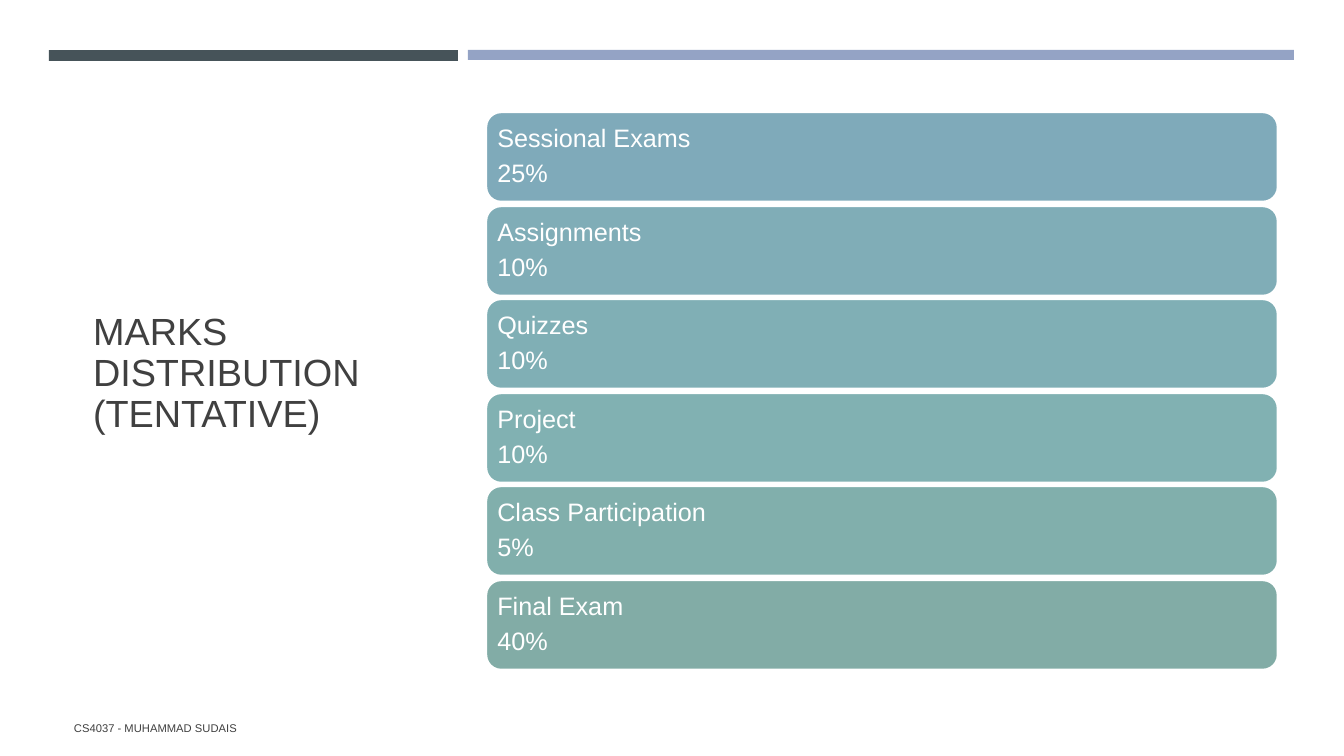
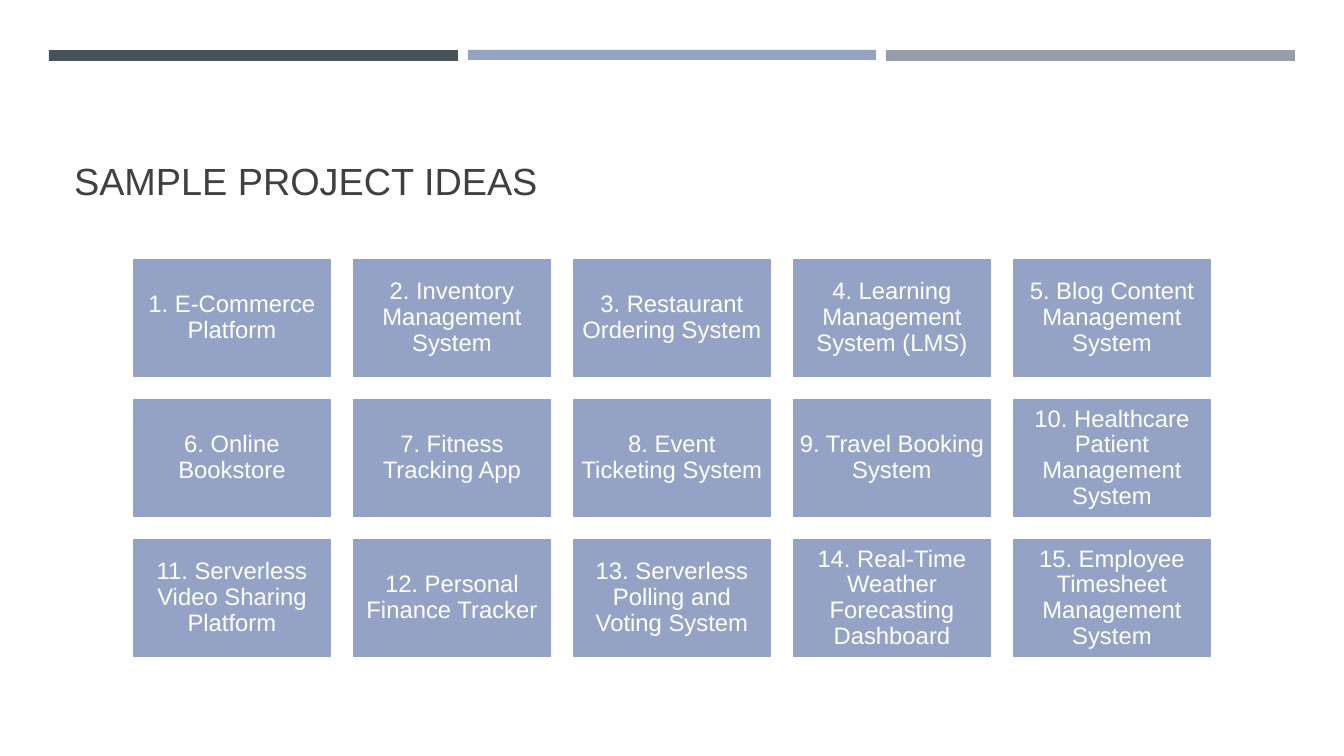
from dataclasses import dataclass

import pptx
import pptx.dml.color
import pptx.enum.shapes
import pptx.enum.text
import pptx.presentation
import pptx.shapes.autoshape
import pptx.slide
import pptx.text.text
import pptx.util

RGBColor = pptx.dml.color.RGBColor
Shape = pptx.enum.shapes.MSO_SHAPE
Anchor = pptx.enum.text.MSO_ANCHOR
Align = pptx.enum.text.PP_ALIGN

SLIDE_WIDTH, SLIDE_HEIGHT = 1344, 756
EMU_PER_PX = 12192000 / SLIDE_WIDTH

FONT = "Arial"
WHITE = RGBColor(0xFF, 0xFF, 0xFF)
CHARCOAL = RGBColor(0x40, 0x40, 0x40)
SLATE = RGBColor(0x46, 0x53, 0x59)
PERIWINKLE = RGBColor(0x94, 0xA3, 0xC5)
GREY = RGBColor(0x96, 0x9F, 0xA7)

TITLE_SIZE = 27
CARD_INSET = 7
LINE_SPACING = 0.9
TITLE_ONLY_LAYOUT = 5


@dataclass(frozen=True)
class Box:
    left: int
    top: int
    width: int
    height: int


@dataclass(frozen=True)
class Band:
    box: Box
    color: RGBColor


@dataclass(frozen=True)
class Mark:
    component: str
    share: str
    color: RGBColor


DARK_BAND = Band(Box(49, 50, 409, 11), SLATE)
WIDE_BAND = Band(Box(468, 50, 826, 10), PERIWINKLE)
MIDDLE_BAND = Band(Box(468, 50, 408, 10), PERIWINKLE)
RIGHT_BAND = Band(Box(886, 50, 409, 11), GREY)

MARKS = [
    Mark("Sessional Exams", "25%", RGBColor(0x7F, 0xAA, 0xBA)),
    Mark("Assignments", "10%", RGBColor(0x80, 0xAD, 0xB7)),
    Mark("Quizzes", "10%", RGBColor(0x80, 0xAF, 0xB5)),
    Mark("Project", "10%", RGBColor(0x81, 0xB1, 0xB2)),
    Mark("Class Participation", "5%", RGBColor(0x81, 0xAF, 0xAC)),
    Mark("Final Exam", "40%", RGBColor(0x82, 0xAC, 0xA6)),
]
MARKS_AREA = Box(486, 112, 792, 558)
MARK_HEIGHT = 90

PROJECT_IDEAS = [
    "E-Commerce Platform",
    "Inventory Management System",
    "Restaurant Ordering System",
    "Learning Management System (LMS)",
    "Blog Content Management System",
    "Online Bookstore",
    "Fitness Tracking App",
    "Event Ticketing System",
    "Travel Booking System",
    "Healthcare Patient Management System",
    "Serverless Video Sharing Platform",
    "Personal Finance Tracker",
    "Serverless Polling and Voting System",
    "Real-Time Weather Forecasting Dashboard",
    "Employee Timesheet Management System",
]
FIRST_IDEA = Box(132, 258, 200, 120)
IDEA_COLUMNS = 5
IDEA_GAP = 20


def px(length: float) -> pptx.util.Emu:
    return pptx.util.Emu(round(length * EMU_PER_PX))


def bounds(box: Box) -> tuple[pptx.util.Emu, ...]:
    return px(box.left), px(box.top), px(box.width), px(box.height)


def format_text(
    frame: pptx.text.text.TextFrame,
    size: int,
    color: RGBColor,
    align: Align = Align.LEFT,
    anchor: Anchor = Anchor.MIDDLE,
    space_after: int = 0,
) -> None:
    frame.word_wrap = True
    frame.auto_size = pptx.enum.text.MSO_AUTO_SIZE.NONE
    frame.vertical_anchor = anchor
    for paragraph in frame.paragraphs:
        paragraph.alignment = align
        paragraph.line_spacing = LINE_SPACING
        paragraph.space_after = pptx.util.Pt(space_after)
        for run in paragraph.runs:
            run.font.name = FONT
            run.font.size = pptx.util.Pt(size)
            run.font.color.rgb = color


def add_filled(
    slide: pptx.slide.Slide, preset: Shape, box: Box, color: RGBColor
) -> pptx.shapes.autoshape.Shape:
    """Add a preset shape with a flat fill, no outline and no shadow."""
    filled = slide.shapes.add_shape(preset, *bounds(box))
    filled.shadow.inherit = False
    filled.fill.solid()
    filled.fill.fore_color.rgb = color
    filled.line.fill.background()
    return filled


def add_card(
    slide: pptx.slide.Slide,
    preset: Shape,
    box: Box,
    color: RGBColor,
    text: str,
    size: int,
    align: Align,
) -> None:
    """Add a white-edged shape that holds white text."""
    card = add_filled(slide, preset, box, color)
    card.line.color.rgb = WHITE
    card.line.width = pptx.util.Pt(1.75)
    frame = card.text_frame
    frame.margin_left = frame.margin_right = px(CARD_INSET)
    frame.margin_top = frame.margin_bottom = px(CARD_INSET)
    frame.text = text
    format_text(frame, size, WHITE, align, space_after=6)


def add_titled_slide(
    deck: pptx.presentation.Presentation,
    title: str,
    title_box: Box,
    anchor: Anchor,
    bands: list[Band],
) -> pptx.slide.Slide:
    slide = deck.slides.add_slide(deck.slide_layouts[TITLE_ONLY_LAYOUT])
    heading = slide.shapes.title
    heading.left, heading.top, heading.width, heading.height = bounds(title_box)
    heading.text_frame.text = title
    format_text(heading.text_frame, TITLE_SIZE, CHARCOAL, anchor=anchor)
    for band in bands:
        add_filled(slide, Shape.RECTANGLE, band.box, band.color)
    return slide


def add_footer(slide: pptx.slide.Slide, text: str) -> None:
    footer = slide.shapes.add_textbox(*bounds(Box(64, 709, 762, 40)))
    footer.text_frame.text = text
    format_text(footer.text_frame, 8, CHARCOAL)


def build_marks_slide(deck: pptx.presentation.Presentation) -> None:
    slide = add_titled_slide(
        deck,
        "MARKS DISTRIBUTION (TENTATIVE)",
        Box(83, 115, 337, 519),
        Anchor.MIDDLE,
        [DARK_BAND, WIDE_BAND],
    )
    pitch = (MARKS_AREA.height - MARK_HEIGHT) / (len(MARKS) - 1)
    for row, mark in enumerate(MARKS):
        top = round(MARKS_AREA.top + row * pitch)
        add_card(
            slide,
            Shape.ROUNDED_RECTANGLE,
            Box(MARKS_AREA.left, top, MARKS_AREA.width, MARK_HEIGHT),
            mark.color,
            f"{mark.component}\n{mark.share}",
            18,
            Align.LEFT,
        )
    add_footer(slide, "CS4037 - MUHAMMAD SUDAIS")


def build_ideas_slide(deck: pptx.presentation.Presentation) -> None:
    slide = add_titled_slide(
        deck,
        "SAMPLE PROJECT IDEAS",
        Box(64, 78, 1216, 131),
        Anchor.BOTTOM,
        [DARK_BAND, MIDDLE_BAND, RIGHT_BAND],
    )
    for index, idea in enumerate(PROJECT_IDEAS):
        row, column = divmod(index, IDEA_COLUMNS)
        box = Box(
            FIRST_IDEA.left + column * (FIRST_IDEA.width + IDEA_GAP),
            FIRST_IDEA.top + row * (FIRST_IDEA.height + IDEA_GAP),
            FIRST_IDEA.width,
            FIRST_IDEA.height,
        )
        add_card(
            slide,
            Shape.RECTANGLE,
            box,
            PERIWINKLE,
            f"{index + 1}. {idea}",
            17,
            Align.CENTER,
        )


def main() -> None:
    deck = pptx.Presentation()
    deck.slide_width = px(SLIDE_WIDTH)
    deck.slide_height = px(SLIDE_HEIGHT)
    build_marks_slide(deck)
    build_ideas_slide(deck)
    deck.save("out.pptx")


if __name__ == "__main__":
    main()
